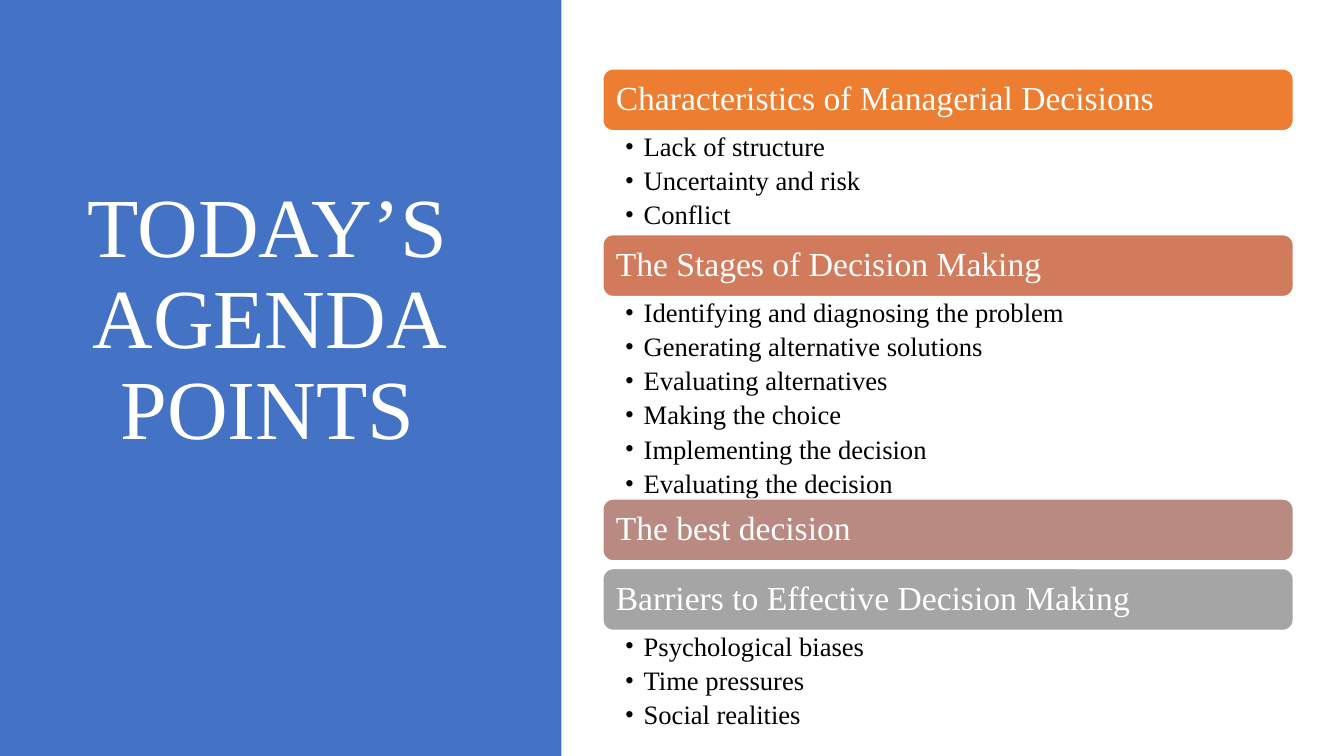
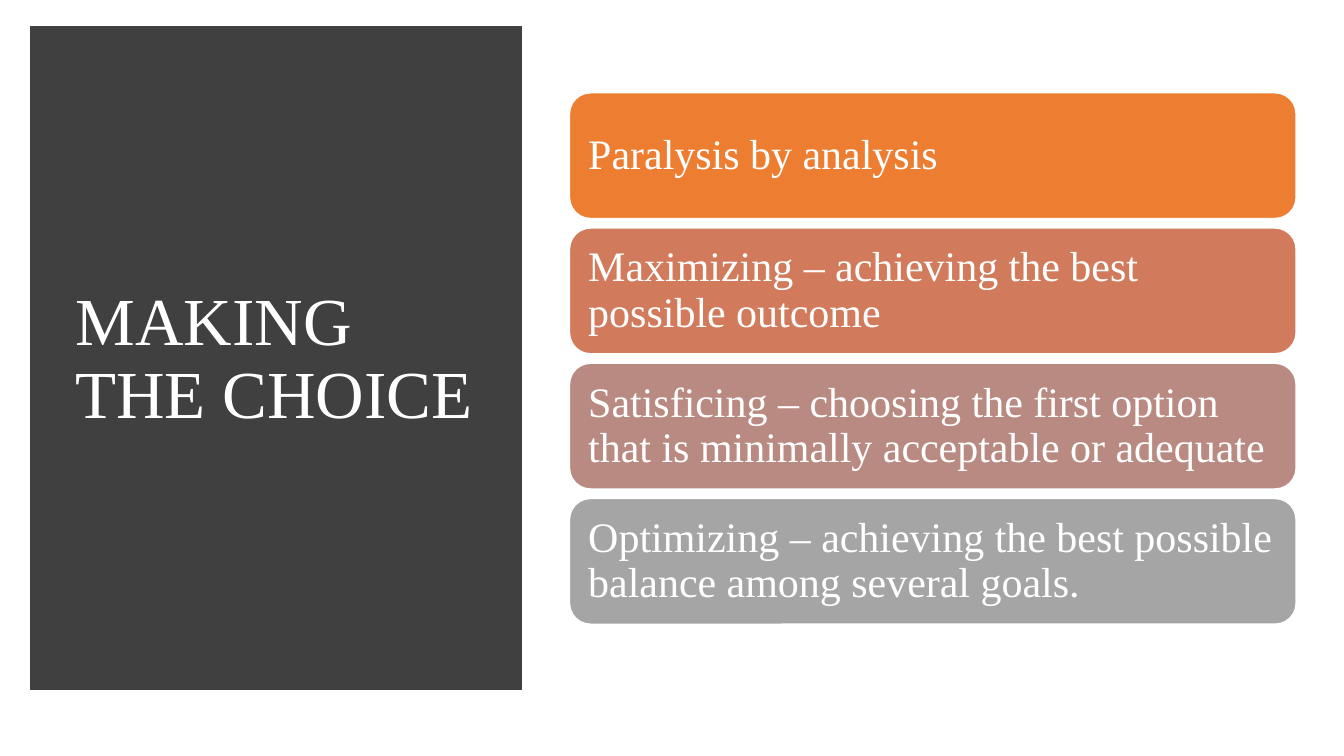
import pptx
import pptx.util
import pptx.dml.color
import pptx.enum.shapes
import pptx.enum.text
import pptx.oxml.ns
import lxml.etree
from dataclasses import dataclass

Pt = pptx.util.Pt
Align = pptx.enum.text.PP_ALIGN
Anchor = pptx.enum.text.MSO_ANCHOR
Preset = pptx.enum.shapes.MSO_SHAPE

# Content
AGENDA_TITLE = "TODAY’S AGENDA POINTS"
AGENDA = [
    ("Characteristics of Managerial Decisions",
     ["Lack of structure", "Uncertainty and risk", "Conflict"]),
    ("The Stages of Decision Making",
     ["Identifying and diagnosing the problem",
      "Generating alternative solutions",
      "Evaluating alternatives",
      "Making the choice",
      "Implementing the decision",
      "Evaluating the decision"]),
    ("The best decision", []),
    ("Barriers to Effective Decision Making",
     ["Psychological biases", "Time pressures", "Social realities"]),
]
CHOICE_TITLE = "MAKING THE CHOICE"
CHOICES = [
    "Paralysis by analysis",
    "Maximizing – achieving the best possible outcome",
    "Satisficing – choosing the first option that is minimally acceptable or adequate",
    "Optimizing – achieving the best possible balance among several goals.",
]


# Theme
@dataclass(frozen=True)
class Theme:
    font: str = "Times New Roman"
    white: str = "FFFFFF"
    black: str = "000000"
    blue: str = "4472C4"
    charcoal: str = "404040"
    bars: tuple = ("ED7D31", "D17B5C", "B98A82", "A5A5A5")
    agenda_title: int = 60
    choice_title: int = 48
    agenda_bar: int = 24
    choice_bar: int = 30
    bullet: int = 19
    line_spacing: float = 0.9
    bullet_gap: float = 3.9


THEME = Theme()


# Shared helpers
def rgb(code):
    return pptx.dml.color.RGBColor.from_string(code)


def add_element(parent, tag, **attributes):
    return lxml.etree.SubElement(parent, pptx.oxml.ns.qn(tag), attributes)


def set_frame(shape, insets, anchor):
    frame = shape.text_frame
    frame.word_wrap = True
    frame.vertical_anchor = anchor
    (frame.margin_left, frame.margin_top,
     frame.margin_right, frame.margin_bottom) = [Pt(inset) for inset in insets]
    return frame


def style_para(para, text, size, color, align=Align.LEFT):
    para.text = text
    para.alignment = align
    para.line_spacing = THEME.line_spacing
    para.font.name = THEME.font
    para.font.size = Pt(size)
    para.font.color.rgb = rgb(color)


def add_block(page, preset, area, fill, line=None, line_width=1):
    block = page.shapes.add_shape(preset, *[Pt(length) for length in area])
    block.shadow.inherit = False
    block.fill.solid()
    block.fill.fore_color.rgb = rgb(fill)
    if line:
        block.line.color.rgb = rgb(line)
        block.line.width = Pt(line_width)
        # Square outline corners
        add_element(block.line._get_or_add_ln(), "a:miter", lim="800000")
    else:
        block.line.fill.background()
    return block


def add_title(page, area, text, size, align):
    box = page.shapes.add_textbox(*[Pt(length) for length in area])
    frame = set_frame(box, (7.2, 3.6, 7.2, 3.6), Anchor.MIDDLE)
    style_para(frame.paragraphs[0], text, size, THEME.white, align)


def add_bar(page, area, text, fill, size, inset):
    bar = add_block(page, Preset.ROUNDED_RECTANGLE, area, fill, THEME.white)
    frame = set_frame(bar, [inset] * 4, Anchor.MIDDLE)
    style_para(frame.paragraphs[0], text, size, THEME.white)


def add_bullets(page, area, items):
    box = page.shapes.add_textbox(*[Pt(length) for length in area])
    frame = set_frame(box, (15.7, 2, 13.7, 2), Anchor.TOP)
    for index, item in enumerate(items):
        para = frame.add_paragraph() if index else frame.paragraphs[0]
        para.space_after = Pt(THEME.bullet_gap)
        props = para._p.get_or_add_pPr()
        props.set("marL", str(Pt(13.5)))
        props.set("indent", str(Pt(-13.5)))
        add_element(props, "a:buFont", typeface=THEME.font)
        add_element(props, "a:buChar", char="•")
        style_para(para, item, THEME.bullet, THEME.black)


# Slides
def build_agenda(page):
    left, top, width = 430.6, 49.2, 493.2
    bar_height, bar_gap = 44.2, 5.5
    item_height, list_padding = 23.47, 3.8
    add_block(page, Preset.RECTANGLE, (0, 0, 401, 540), THEME.blue)
    add_title(page, (41, 49, 300, 361), AGENDA_TITLE, THEME.agenda_title, Align.CENTER)
    for (heading, items), fill in zip(AGENDA, THEME.bars):
        add_bar(page, (left, top, width, bar_height), heading, fill,
                THEME.agenda_bar, 7.2)
        top += bar_height
        if items:
            height = item_height * len(items) + list_padding
            add_bullets(page, (left, top, width, height), items)
            top += height
        else:
            top += bar_gap


def build_choice(page):
    left, top, width = 406.8, 66.3, 519
    bar_height, bar_gap = 89.8, 6.8
    add_block(page, Preset.RECTANGLE, (26.6, 23.8, 341.3, 464.4),
              THEME.charcoal, THEME.charcoal, 10)
    add_title(page, (46.8, 50.4, 300, 414), CHOICE_TITLE, THEME.choice_title, Align.LEFT)
    for index, (choice, fill) in enumerate(zip(CHOICES, THEME.bars)):
        bar_top = top + index * (bar_height + bar_gap)
        add_bar(page, (left, bar_top, width, bar_height), choice, fill,
                THEME.choice_bar, 9)


def main():
    deck = pptx.Presentation()
    deck.slide_width, deck.slide_height = Pt(960), Pt(540)
    for build in (build_agenda, build_choice):
        build(deck.slides.add_slide(deck.slide_layouts[6]))
    deck.save("out.pptx")


if __name__ == "__main__":
    main()
